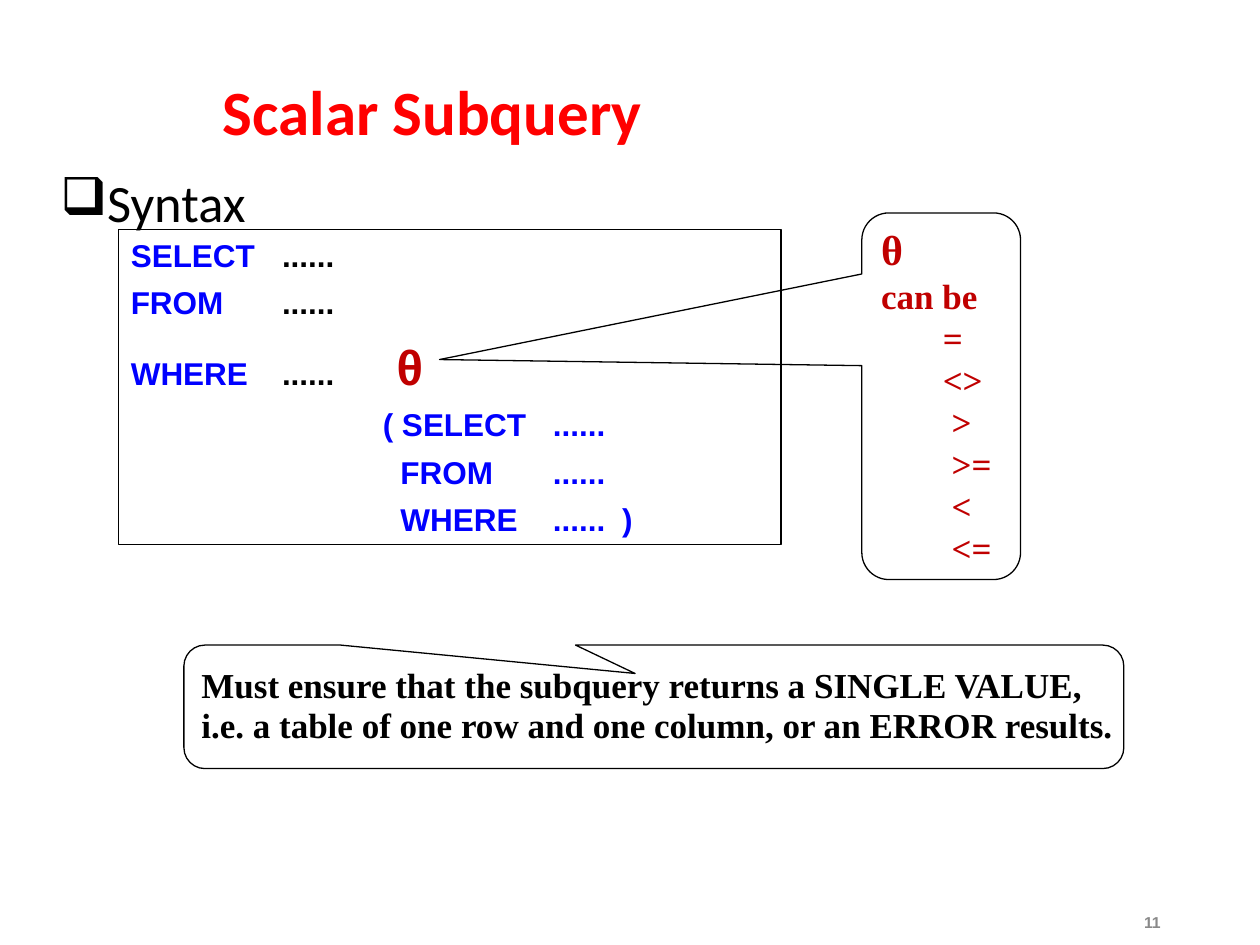
"""Build the Scalar Subquery slide, with places given as percent of the slide."""
from lxml.etree import SubElement
from pptx import Presentation
from pptx.dml.color import RGBColor
from pptx.enum.shapes import MSO_SHAPE
from pptx.enum.text import MSO_ANCHOR, PP_ALIGN
from pptx.oxml.ns import qn
from pptx.util import Inches, Pt

RED, BLUE, DARK, BLACK, GREY = "FF0000", "0000FF", "C00000", "000000", "898989"
hue = RGBColor.from_string

deck = Presentation()
deck.slide_width, deck.slide_height = Inches(10), Inches(7.5)
slide = deck.slides.add_slide(deck.slide_layouts[6])
wide, high = deck.slide_width / 100, deck.slide_height / 100


def box(left, top, width, height, kind=None, mid=True, wrap=True):
    place = [int(n) for n in (left * wide, top * high, width * wide, height * high)]
    if kind is None:
        shape = slide.shapes.add_textbox(*place)
    else:
        shape = slide.shapes.add_shape(kind, *place)
        shape.shadow.inherit = False
        shape.fill.background()
        shape.line.color.rgb = hue(BLACK)
        shape.line.width = Pt(0.75)
    frame = shape.text_frame
    frame.word_wrap = wrap
    frame.vertical_anchor = MSO_ANCHOR.MIDDLE if mid else MSO_ANCHOR.TOP
    return shape


def write(frame, runs, face, lead=1, gap=0, dent=0, tabs=(), bold=True, side=PP_ALIGN.LEFT):
    fresh = not frame.paragraphs[0].runs
    para = frame.paragraphs[0] if fresh else frame.add_paragraph()
    para.alignment, para.line_spacing = side, lead
    para.space_before = Pt(0 if fresh else gap)
    props = para._p.get_or_add_pPr()
    props.set("marL", str(Inches(dent)))
    if tabs:
        stops = SubElement(props, qn("a:tabLst"))
        for stop in tabs:
            SubElement(stops, qn("a:tab"), pos=str(Inches(stop)), algn="l")
    for text, size, tint in runs:
        run = para.add_run()
        run.text = text
        run.font.name, run.font.size, run.font.bold = face, Pt(size), bold
        run.font.color.rgb = hue(tint)
    return props


title = box(16.7, 5.33, 76.4, 13.73)
write(title.text_frame, [("Scalar Subquery", 36, RED)], "Calibri", lead=0.9)

body = box(3.8, 18.13, 96.2, 70.93, mid=False)
props = write(body.text_frame, [("Syntax", 30, BLACK)], "Calibri", lead=0.9, dent=0.19, bold=False)
props.set("indent", str(Inches(-0.19)))
SubElement(SubElement(props, qn("a:buClr")), qn("a:srgbClr"), val=BLACK)
SubElement(props, qn("a:buChar"), char="❑")

number = box(70.6, 95.2, 22.5, 4.8)
write(number.text_frame, [("11", 9, GREY)], "Arial", side=PP_ALIGN.RIGHT)

query = box(9.4, 24.27, 52.6, 33.33, MSO_SHAPE.RECTANGLE, mid=False)
dots = ("\t......", 18, BLACK)
for word in ("SELECT", "FROM", "WHERE"):
    runs, gap = [(word, 18, BLUE), dots], 5.6
    if word == "WHERE":
        runs.append(("\tθ", 28, DARK))
        gap = 8.8
    write(query.text_frame, runs, "Arial", gap=gap, tabs=(1.2, 2.11))
for start, text in ((2, "( SELECT\t......"), (2.14, "FROM\t......"), (2.14, "WHERE\t......\t)")):
    write(query.text_frame, [("\t" + text, 18, BLUE)], "Arial", gap=5.6, tabs=(start, 3.35, 3.9))

signs = box(68.4, 22.53, 12.6, 38.8, MSO_SHAPE.ROUNDED_RECTANGULAR_CALLOUT)
lines = [("θ", 24, 0), ("can be", 20, 0), ("=", 20, 0.49), ("<>", 20, 0.49)]
lines += [(sign, 20, 0.56) for sign in (">", ">=", "<", "<=")]
for text, size, dent in lines:
    write(signs.text_frame, [(text, size, DARK)], "Times New Roman", dent=dent)

note = box(14.6, 68.27, 74.6, 13.07, MSO_SHAPE.ROUNDED_RECTANGULAR_CALLOUT, wrap=False)
for text in ("Must ensure that the subquery returns a SINGLE VALUE,",
             "i.e. a table of one row and one column, or an ERROR results."):
    write(note.text_frame, [(text, 20, BLACK)], "Times New Roman", lead=0.95)

for call, tip in ((signs, (-3.16, -0.1)), (note, (-0.02, -0.27))):
    call.adjustments[0], call.adjustments[1] = tip
    call.adjustments[2] = 0.17
    frame = call.text_frame
    frame.margin_left = frame.margin_right = Inches(0.09)
    frame.margin_top = frame.margin_bottom = Inches(0.04)

deck.save("out.pptx")
